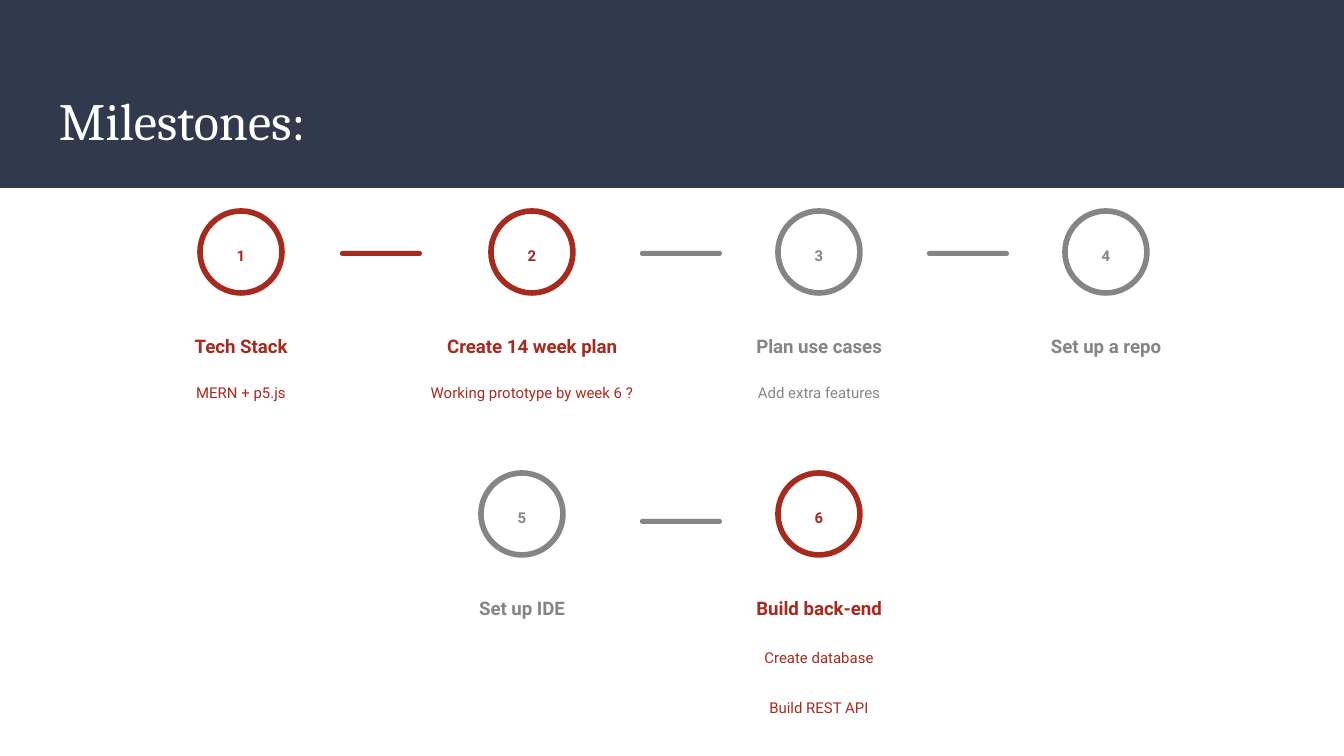
from pptx import Presentation
from pptx.dml.color import RGBColor
from pptx.enum.shapes import MSO_SHAPE
from pptx.enum.text import MSO_ANCHOR, PP_ALIGN
from pptx.util import Emu, Pt

NAVY = RGBColor(0x31, 0x39, 0x4D)
WHITE = RGBColor(0xFF, 0xFF, 0xFF)
RED = RGBColor(0xA7, 0x2A, 0x1E)
GREY = RGBColor(0x85, 0x85, 0x85)

PX_PER_INCH = 134.4
INSET = 13
CIRCLE = 82
LABEL_WIDTH = 235
ROW_TOPS = (211, 473)

# number, row, centre x, colour, label, details
MILESTONES = [
    (1, 0, 241, RED, "Tech Stack", ["MERN + p5.js"]),
    (2, 0, 532, RED, "Create 14 week plan", ["Working prototype by week 6 ?"]),
    (3, 0, 819, GREY, "Plan use cases", ["Add extra features"]),
    (4, 0, 1106, GREY, "Set up a repo", []),
    (5, 1, 522, GREY, "Set up IDE", []),
    (6, 1, 819, RED, "Build back-end", ["Create database", "Build REST API"]),
]

# left, top, colour
DASHES = [(340, 251, RED), (640, 251, GREY), (927, 251, GREY), (640, 519, GREY)]


def px(length):
    return Emu(round(length * 914400 / PX_PER_INCH))


def area(left, top, width, height):
    return px(left), px(top), px(width), px(height)


def set_insets(frame):
    frame.margin_left = frame.margin_right = px(INSET)
    frame.margin_top = frame.margin_bottom = px(INSET)
    frame.word_wrap = True


def add_solid(shapes, kind, place, color):
    shape = shapes.add_shape(kind, *area(*place))
    shape.shadow.inherit = False
    shape.fill.solid()
    shape.fill.fore_color.rgb = color
    shape.line.fill.background()
    return shape


def add_ring(shapes, center, top, color):
    ring = shapes.add_shape(
        MSO_SHAPE.OVAL, *area(center - CIRCLE / 2, top, CIRCLE, CIRCLE))
    ring.shadow.inherit = False
    ring.fill.background()
    ring.line.color.rgb = color
    ring.line.width = Pt(3)


def add_text(shapes, place, lines, size, color, bold=False, anchor=MSO_ANCHOR.TOP):
    frame = shapes.add_textbox(*area(*place)).text_frame
    set_insets(frame)
    frame.vertical_anchor = anchor
    for index, line in enumerate(lines):
        para = frame.paragraphs[0] if index == 0 else frame.add_paragraph()
        para.text = line
        para.alignment = PP_ALIGN.CENTER
        para.line_spacing = 1.15
        if index > 0:
            para.space_before = Pt(16)
        para.font.name = "Roboto"
        para.font.size = Pt(size)
        para.font.bold = bold
        para.font.color.rgb = color


def add_milestone(slide, number, row, center, color, label, details):
    shapes = slide.shapes.add_group_shape().shapes
    top = ROW_TOPS[row]
    left = center - LABEL_WIDTH / 2
    add_ring(shapes, center, top, color)
    add_text(shapes, (center - 30, top + 23, 60, 44), [str(number)], 8, color, bold=True)
    add_text(shapes, (left, top + 97, LABEL_WIDTH, 62), [label], 10, color,
             bold=True, anchor=MSO_ANCHOR.BOTTOM)
    if details:
        add_text(shapes, (left, top + 160, LABEL_WIDTH, 102), details, 8, color)


def add_header(slide):
    band = add_solid(slide.shapes, MSO_SHAPE.RECTANGLE, (0, 0, 1344, 188), NAVY)
    title = slide.shapes.title
    band._element.addnext(title._element)  # title in front of the band
    title.left, title.top, title.width, title.height = area(46, 74, 1253, 91)
    frame = title.text_frame
    set_insets(frame)
    frame.vertical_anchor = MSO_ANCHOR.MIDDLE
    para = frame.paragraphs[0]
    para.text = "Milestones:"
    para.alignment = PP_ALIGN.LEFT
    para.font.name = "Cambria"
    para.font.size = Pt(28)
    para.font.color.rgb = WHITE


def main():
    deck = Presentation()
    deck.slide_width, deck.slide_height = px(1344), px(756)
    slide = deck.slides.add_slide(deck.slide_layouts[5])

    add_header(slide)

    # Dashes between the steps
    for left, top, color in DASHES:
        dash = add_solid(slide.shapes, MSO_SHAPE.ROUNDED_RECTANGLE,
                         (left, top, CIRCLE, 5), color)
        dash.adjustments[0] = 0.5

    # Numbered steps
    for milestone in MILESTONES:
        add_milestone(slide, *milestone)

    deck.save("out.pptx")


if __name__ == "__main__":
    main()
